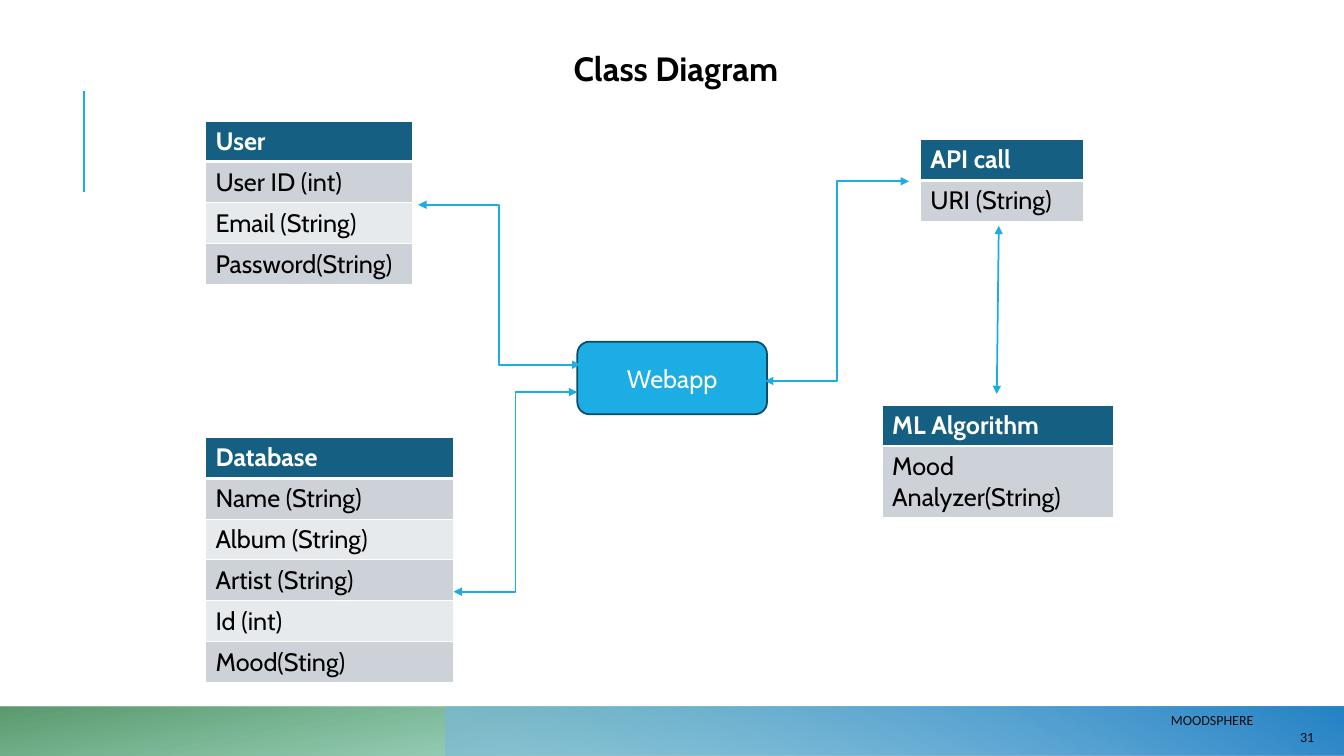
import pptx
import pptx.util
import pptx.dml.color
import pptx.enum.shapes
import pptx.enum.text
import pptx.oxml
import pptx.oxml.ns
from pptx.util import Cm, Pt

COLORS = {
    "accent": "1CADE4", "outline": "0C4C64", "header": "156082",
    "dark_row": "CCD2D8", "light_row": "E7EAED", "white": "FFFFFF",
    "black": "000000", "footer": "0D0D0D",
    "teal": "42BA97", "green": "3E8853", "sky": "75B6E5", "blue": "2683C6",
}
NAMESPACE = pptx.oxml.ns.nsdecls("a")
SHAPES = pptx.enum.shapes.MSO_SHAPE
CONNECTORS = pptx.enum.shapes.MSO_CONNECTOR
ALIGN = pptx.enum.text.PP_ALIGN
ANCHOR = pptx.enum.text.MSO_ANCHOR


def rgb(name):
    return pptx.dml.color.RGBColor.from_string(COLORS[name])


def style_text(paragraph, font_name, size, color, bold=False):
    for span in paragraph.runs:
        span.font.name = font_name
        span.font.size = Pt(size)
        span.font.bold = bold
        span.font.color.rgb = rgb(color)


deck = pptx.Presentation()
deck.slide_width, deck.slide_height = Cm(33.87), Cm(19.05)
page = deck.slides.add_slide(deck.slide_layouts[5])

# Bottom band: left, width, rotation, angle, stops (position, colour, opacity)
bands = [
    (0, 33.87, 180, 100, [(14, "teal", 28), (100, "green", 85)]),
    (11.23, 22.64, 0, 240, [(9, "sky", 55), (99, "blue", 100)]),
]
for left, width, rotation, angle, stops in bands:
    band = page.shapes.add_shape(SHAPES.RECTANGLE, Cm(left), Cm(17.81), Cm(width), Cm(1.24))
    band.shadow.inherit = False
    band.line.fill.background()
    band.rotation = rotation
    properties = band.element.spPr
    properties.find(pptx.oxml.ns.qn("a:xfrm")).set("flipH", "1")
    stop_xml = "".join(
        f'<a:gs pos="{position * 1000}"><a:srgbClr val="{COLORS[color]}">'
        f'<a:alpha val="{opacity * 1000}"/></a:srgbClr></a:gs>'
        for position, color, opacity in stops)
    gradient = pptx.oxml.parse_xml(
        f'<a:gradFill {NAMESPACE} rotWithShape="1"><a:gsLst>{stop_xml}</a:gsLst>'
        f'<a:lin ang="{angle * 60000}" scaled="0"/></a:gradFill>')
    properties.find(pptx.oxml.ns.qn("a:prstGeom")).addnext(gradient)

# Title
title = page.shapes.title
title.left, title.top, title.width, title.height = Cm(14.2), Cm(1.07), Cm(6.38), Cm(1.27)
title.text_frame.text = "Class Diagram"
title.text_frame.auto_size = pptx.enum.text.MSO_AUTO_SIZE.NONE
title.text_frame.vertical_anchor = ANCHOR.TOP
title.text_frame.paragraphs[0].alignment = ALIGN.LEFT
style_text(title.text_frame.paragraphs[0], "Cabin", 24, "black", bold=True)

# Webapp node
webapp = page.shapes.add_shape(SHAPES.ROUNDED_RECTANGLE, Cm(14.55), Cm(8.61), Cm(4.78), Cm(1.83))
webapp.shadow.inherit = False
webapp.fill.solid()
webapp.fill.fore_color.rgb = rgb("accent")
webapp.line.color.rgb = rgb("outline")
webapp.line.width = Pt(1.25)
webapp.text_frame.text = "Webapp"
webapp.text_frame.vertical_anchor = ANCHOR.MIDDLE
webapp.text_frame.paragraphs[0].alignment = ALIGN.CENTER
style_text(webapp.text_frame.paragraphs[0], "Cabin", 18, "white")

# Lines: kind, start, end, width, arrowheads
links = [
    (CONNECTORS.STRAIGHT, (2.11, 4.83), (2.11, 2.29), 1.5, False),
    (CONNECTORS.ELBOW, (10.54, 5.16), (14.63, 9.19), 1.25, True),
    (CONNECTORS.ELBOW, (14.55, 9.88), (11.43, 14.91), 1.25, True),
    (CONNECTORS.ELBOW, (22.91, 4.57), (19.28, 9.6), 1.25, True),
    (CONNECTORS.STRAIGHT, (25.17, 5.69), (25.12, 9.93), 1.25, True),
]
for kind, start, end, width, arrows in links:
    link = page.shapes.add_connector(kind, *map(Cm, start + end))
    link.line.color.rgb = rgb("accent")
    link.line.width = Pt(width)
    if arrows:
        for tag in ("headEnd", "tailEnd"):
            link.line._get_or_add_ln().append(
                pptx.oxml.parse_xml(f'<a:{tag} {NAMESPACE} type="triangle"/>'))
    link.element.spPr.append(pptx.oxml.parse_xml(f"<a:effectLst {NAMESPACE}/>"))

# Class tables: left, top, width, last row height, rows
classes = [
    (5.18, 3.05, 5.21, 1.02, ["User", "User ID (int)", "Email (String)", "Password(String)"]),
    (5.18, 11.02, 6.25, 1.02, ["Database", "Name (String)", "Album (String)",
                               "Artist (String)", "Id (int)", "Mood(Sting)"]),
    (23.19, 3.51, 4.11, 1.02, ["API call", "URI (String)"]),
    (22.23, 10.21, 5.84, 1.78, ["ML Algorithm", "Mood Analyzer(String)"]),
]
for left, top, width, last_height, rows in classes:
    height = 1.02 * (len(rows) - 1) + last_height
    table = page.shapes.add_table(len(rows), 1, Cm(left), Cm(top), Cm(width), Cm(height)).table
    table.horz_banding = False
    for index, label in enumerate(rows):
        table.rows[index].height = Cm(1.02)
        cell = table.cell(index, 0)
        cell.text_frame.text = label
        header = index == 0
        style_text(cell.text_frame.paragraphs[0], "Cabin", 18,
                   "white" if header else "black", bold=header)
        cell.fill.solid()
        row_color = "dark_row" if index % 2 else "light_row"
        cell.fill.fore_color.rgb = rgb("header" if header else row_color)
        # The rule under the header is three times as thick
        thick_side = {0: "B", 1: "T"}.get(index)
        for order, side in enumerate("LRTB"):
            points = 2.34 if side == thick_side else 0.78
            border = pptx.oxml.parse_xml(
                f'<a:ln{side} {NAMESPACE} w="{Pt(points)}"><a:solidFill>'
                f'<a:srgbClr val="{COLORS["white"]}"/></a:solidFill></a:ln{side}>')
            cell._tc.get_or_add_tcPr().insert(order, border)
    table.rows[len(rows) - 1].height = Cm(last_height)

# Footer and page number
footer = page.shapes.add_textbox(Cm(29.26), Cm(17.65), Cm(4.11), Cm(1.4))
frame = footer.text_frame
frame.word_wrap = True
frame.vertical_anchor = ANCHOR.MIDDLE
frame.margin_left = frame.margin_right = frame.margin_top = frame.margin_bottom = Cm(0.25)
frame.text = "MOODSPHERE\n31"
for paragraph, alignment in zip(frame.paragraphs, (ALIGN.LEFT, ALIGN.RIGHT)):
    paragraph.alignment = alignment
    style_text(paragraph, "Calibri", 10, "footer")

deck.save("out.pptx")
